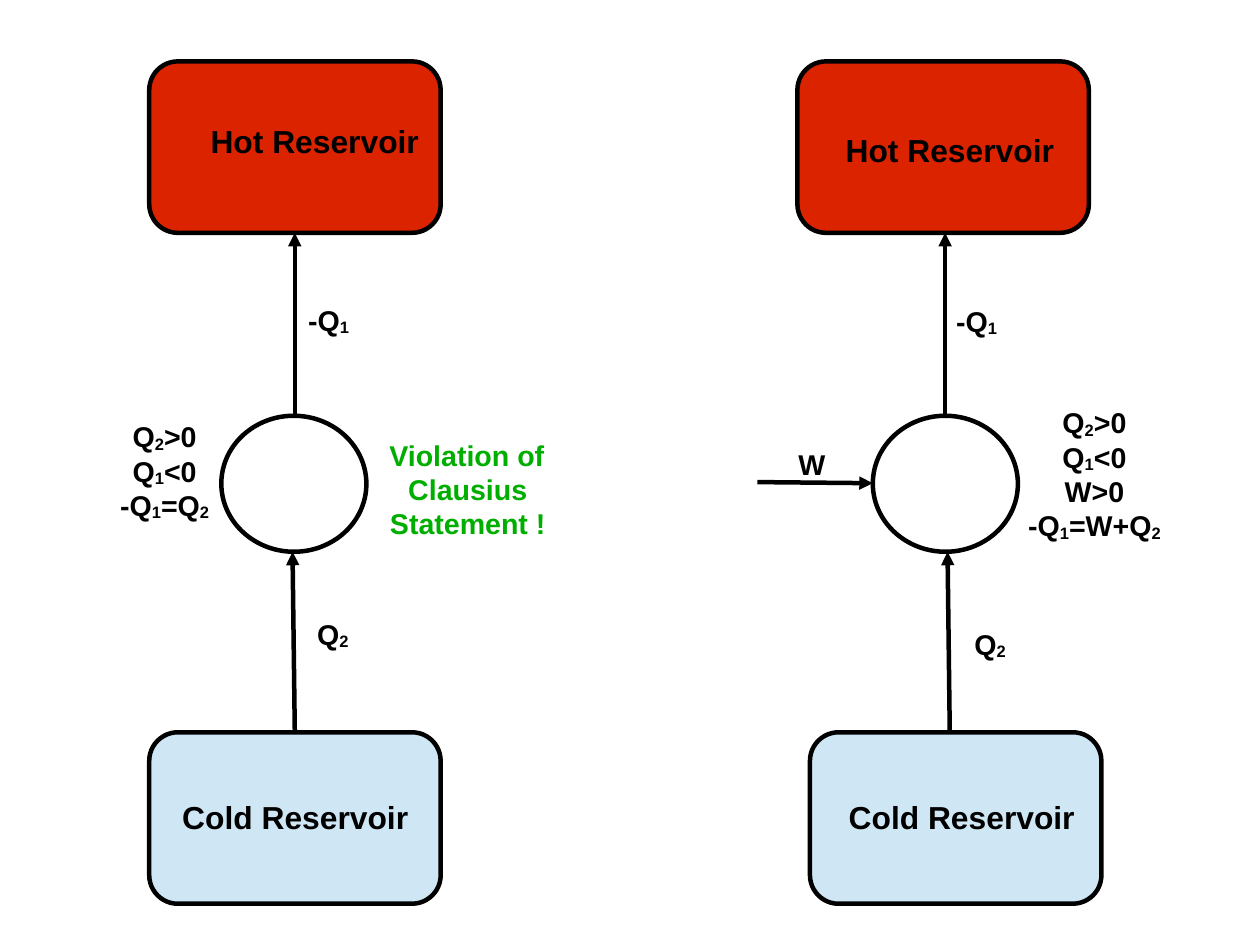
from collections import namedtuple
from dataclasses import dataclass

from pptx import Presentation
from pptx.dml.color import RGBColor as RGB
from pptx.enum.shapes import MSO_CONNECTOR as Conn, MSO_SHAPE as Kind
from pptx.enum.text import MSO_AUTO_SIZE as Fit, PP_ALIGN as Align
from pptx.oxml.ns import qn
from pptx.util import Pt
from lxml.etree import SubElement as sub

Box = namedtuple("Box", "x y w h")
LEFT, MID = Align.LEFT, Align.CENTER


@dataclass(frozen=True)
class Theme:
    font: str = "Arial"
    title: float = 20
    label: float = 18
    stroke: float = 2.83
    ink: RGB = RGB(0, 0, 0)
    hot: RGB = RGB(0xDC, 0x23, 0x00)
    cold: RGB = RGB(0xCF, 0xE7, 0xF5)
    paper: RGB = RGB(0xFF, 0xFF, 0xFF)
    alert: RGB = RGB(0x00, 0xAE, 0x00)


@dataclass(frozen=True)
class Plan:
    """Offsets in points from the left and top of a heat pump's box."""
    ring: float       # left of the circle
    cold: float       # left of the cold reservoir
    axis: float       # x of the upper arrow
    feed: float       # x where the lower arrow starts
    names: tuple      # hot and cold captions: box, alignment
    heats: tuple      # places of the -Q1 and Q2 labels
    rules: Box
    lines: tuple


T = Theme()
TANK_W, TANK_H = 183.6, 108
RING_W, RING_H = 91.4, 85.7
RING_Y, COLD_Y = 223.2, 422.6

CLAUSIUS = Plan(
    45.4, 0, 91.7, 91.7,
    ((Box(22.2, 34.6, 164.2, 33.8), MID), (Box(13.7, 460.1, 181.4, 33.8), LEFT)),
    (Box(93, 148.3, 40.3, 33.1), Box(98.7, 346.3, 36, 33.1)),
    Box(-25.6, 221.8, 70.6, 85.7),
    ("Q_2>0", "Q_1<0", "-Q_1=Q_2"))
DRIVEN = Plan(
    47.5, 7.9, 93.1, 96,
    ((Box(23.3, 40.4, 168.5, 33.8), LEFT), (Box(25.2, 460.1, 181.4, 33.8), LEFT)),
    (Box(92.9, 149, 40.3, 33.1), Box(104.4, 352.8, 36, 33.1)),
    Box(138.2, 213.1, 97.9, 105.8),
    ("Q_2>0", "Q_1<0", "W>0", "-Q_1=W+Q_2"))


def within(box, part):
    return Box(box.x + part.x, box.y + part.y, part.w, part.h)


def shape(slide, kind, box, fill):
    item = slide.shapes.add_shape(kind, *map(Pt, box))
    item.shadow.inherit = False
    item.fill.solid()
    item.fill.fore_color.rgb = fill
    item.line.color.rgb = T.ink
    item.line.width = Pt(T.stroke)
    return item


def arrow(slide, box, *ends):
    """Draw an arrow; ends are x and y of tail and tip within the box."""
    x1, y1, x2, y2 = ends
    line = slide.shapes.add_connector(
        Conn.STRAIGHT, Pt(box.x + x1), Pt(box.y + y1),
        Pt(box.x + x2), Pt(box.y + y2))
    line.line.color.rgb = T.ink
    line.line.width = Pt(T.stroke)
    sub(line.line._get_or_add_ln(), qn("a:tailEnd"), type="triangle")
    sub(line._element.spPr, qn("a:effectLst"))


def add_run(para, text, low=False):
    if text:
        run = para.add_run()
        run.text = text
        if low:
            run._r.get_or_add_rPr().set("baseline", "-8000")


def text(slide, box, lines, size=T.label, color=T.ink, aligns=(LEFT,), wrap=False):
    """Write lines; the character after an underscore is a subscript."""
    frame = slide.shapes.add_textbox(*map(Pt, box)).text_frame
    frame.word_wrap = wrap
    frame.auto_size = Fit.SHAPE_TO_FIT_TEXT
    for i, line in enumerate(lines):
        para = frame.add_paragraph() if i else frame.paragraphs[0]
        para.alignment = aligns[min(i, len(aligns) - 1)]
        font = para.font
        font.name, font.size, font.bold = T.font, Pt(size), True
        font.color.rgb = color
        head, *rest = line.split("_")
        add_run(para, head)
        for part in rest:
            add_run(para, part[0], low=True)
            add_run(para, part[1:])


def pump(slide, box, plan):
    # Reservoirs and the machine between them
    for x, y, fill in ((0, 0, T.hot), (plan.cold, COLD_Y, T.cold)):
        shape(slide, Kind.ROUNDED_RECTANGLE,
              within(box, Box(x, y, TANK_W, TANK_H)), fill)
    ring = Box(plan.ring, RING_Y, RING_W, RING_H)
    shape(slide, Kind.OVAL, within(box, ring), T.paper).rotation = 0.9

    # Heat flows
    arrow(slide, box, plan.axis, RING_Y, plan.axis, TANK_H)
    arrow(slide, box, plan.feed, COLD_Y, plan.feed - 1.4, RING_Y + RING_H)

    # Captions, heat labels and sign rules
    for name, (spot, align) in zip(("Hot Reservoir", "Cold Reservoir"), plan.names):
        text(slide, within(box, spot), [name], T.title, aligns=(align,), wrap=True)
    for heat, spot in zip(("-Q_1", "Q_2"), plan.heats):
        text(slide, within(box, spot), [heat])
    text(slide, within(box, plan.rules), plan.lines, aligns=(MID,))


def verdict(slide, box):
    text(slide, box, ["Violation of", "Clausius Statement !"],
         color=T.alert, aligns=(LEFT, MID), wrap=True)


def work(slide, box):
    text(slide, Box(box.x + 18.7, box.y, 31, 33.8), ["W"])
    arrow(slide, box, 0, 26, box.w, 26.7)


def main():
    # A4 landscape drawing area, 28 by 21 cm
    deck = Presentation()
    deck.slide_width, deck.slide_height = Pt(793.7), Pt(595.28)
    slide = deck.slides.add_slide(deck.slide_layouts[6])
    left = Box(94, 38.7, TANK_W, COLD_Y + TANK_H)
    right = left._replace(x=502.3)
    pump(slide, left, CLAUSIUS)
    verdict(slide, within(left, Box(144.2, 233.3, 113, 73.4)))
    pump(slide, right, DRIVEN)
    work(slide, within(right, Box(-25.2, 239, 72.7, 33.8)))
    deck.save("out.pptx")


if __name__ == "__main__":
    main()
